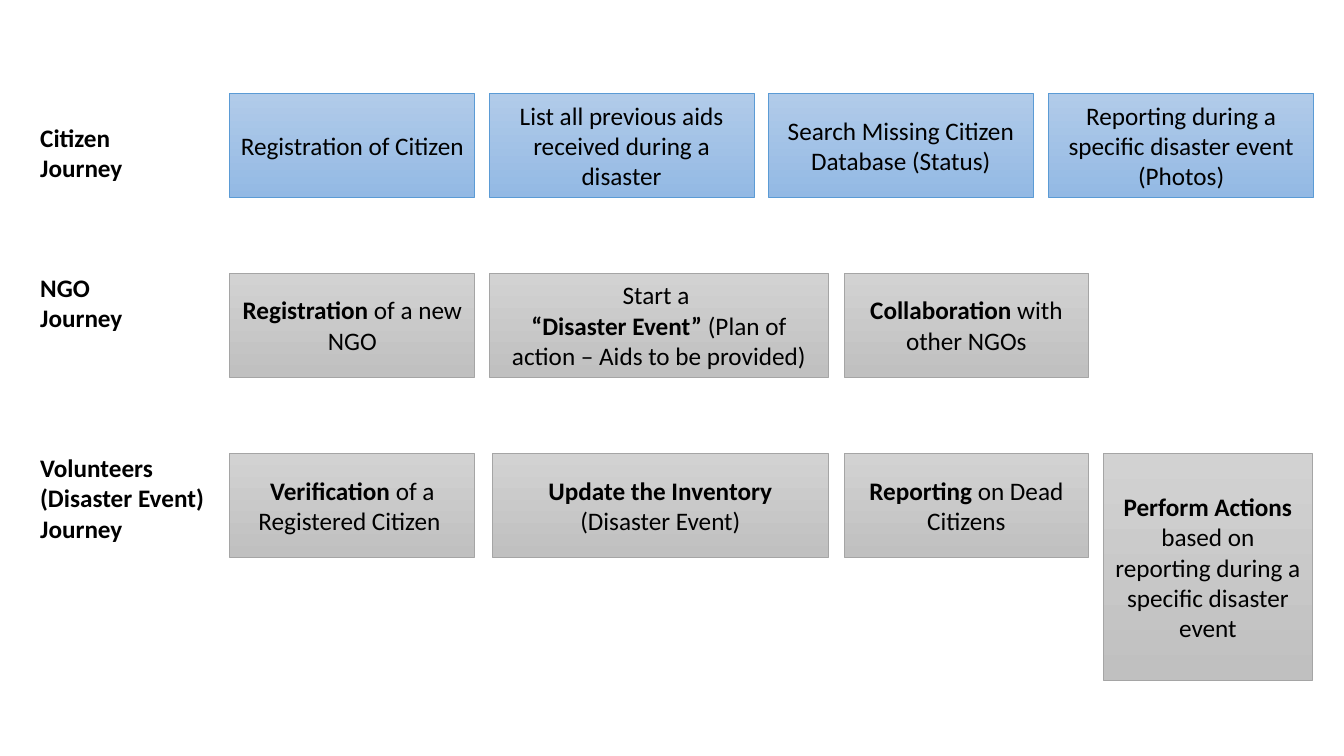
from pptx import Presentation
from pptx import util as u
from pptx.dml import color
from pptx.enum import shapes, text

PX = 9144
GAP = 14
BLUE = ("B1CBE9", "93B9E4", "5B9BD5")
GREY = ("D2D2D2", "C0C0C0", "A5A5A5")


def rgb(value):
    return color.RGBColor.from_string(value)


def write(frame, paragraphs, align):
    frame.word_wrap = True
    for index, spans in enumerate(paragraphs):
        para = frame.paragraphs[0] if index == 0 else frame.add_paragraph()
        para.alignment = align
        for words, bold in spans:
            span = para.add_run()
            span.text = words
            span.font.color.rgb = rgb("000000")
            for name, value in {"name": "Calibri", "size": u.Pt(18), "bold": bold}.items():
                setattr(span.font, name, value)


deck = Presentation()
deck.slide_width, deck.slide_height = 1333 * PX, 750 * PX
page = deck.slides.add_slide(deck.slide_layouts[6])

labels = [
    (116, 232, 71, ["Citizen", "Journey"]),
    (265, 198, 71, ["NGO", "Journey"]),
    (444, 198, 101, ["Volunteers", "(Disaster Event)", "Journey"]),
]
for top, width, height, lines in labels:
    box = page.shapes.add_textbox(30 * PX, top * PX, width * PX, height * PX)
    write(box.text_frame, [[(line, True)] for line in lines], text.PP_ALIGN.LEFT)
    box.text_frame.auto_size = text.MSO_AUTO_SIZE.SHAPE_TO_FIT_TEXT

journeys = [
    (93, BLUE, [
        (228, 243, 103, [[("Registration of Citizen", False)]]),
        (485, 263, 103, [[("List all previous aids received during a disaster", False)]]),
        (762, 263, 103, [[("Search Missing Citizen Database (Status)", False)]]),
        (1040, 263, 103, [[("Reporting during a specific disaster event (Photos)", False)]]),
    ]),
    (271, GREY, [
        (228, 243, 103, [[("Registration", True), (" of a new NGO", False)]]),
        (485, 337, 103, [
            [("Start a ", False)],
            [("“Disaster Event” ", True), ("(Plan of action – Aids to be provided)", False)],
        ]),
        (837, 243, 103, [[("Collaboration", True), (" with other NGOs", False)]]),
    ]),
    (450, GREY, [
        (228, 243, 103, [[("Verification", True), (" of a Registered Citizen ", False)]]),
        (488, 334, 103, [[("Update the Inventory ", True), ("(Disaster Event)", False)]]),
        (837, 243, 103, [[("Reporting", True), (" on Dead Citizens", False)]]),
        (1094, 208, 225, [[
            ("Perform Actions ", True),
            ("based on reporting during a specific disaster event", False),
        ]]),
    ]),
]
for top, (light, dark, edge), steps in journeys:
    for left, width, height, paragraphs in steps:
        box = page.shapes.add_shape(
            shapes.MSO_SHAPE.RECTANGLE, left * PX, top * PX, width * PX, height * PX)
        box.shadow.inherit = False
        box.fill.gradient()
        box.fill.gradient_angle = 270
        for stop, shade in zip(box.fill.gradient_stops, (light, dark)):
            stop.color.rgb = rgb(shade)
        box.line.color.rgb = rgb(edge)
        box.line.width = u.Pt(0.5)
        box.text_frame.vertical_anchor = text.MSO_ANCHOR.MIDDLE
        write(box.text_frame, paragraphs, text.PP_ALIGN.CENTER)

deck.save("out.pptx")
